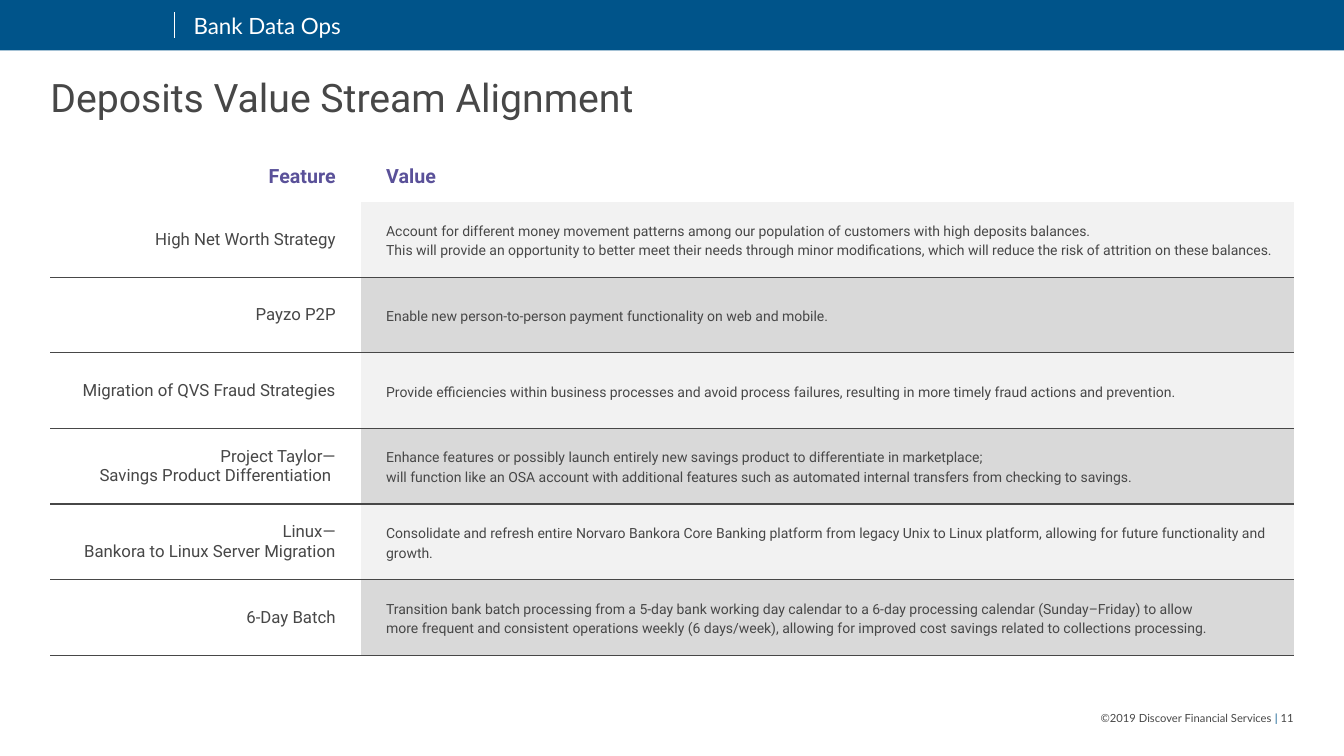
from dataclasses import dataclass

from lxml import etree
from pptx import Presentation
from pptx.dml.color import RGBColor
from pptx.enum.shapes import MSO_CONNECTOR, MSO_SHAPE
from pptx.enum.text import MSO_ANCHOR, PP_ALIGN
from pptx.oxml import parse_xml
from pptx.oxml.ns import nsdecls, qn
from pptx.util import Inches, Pt

RECTANGLE = MSO_SHAPE.RECTANGLE
STRAIGHT = MSO_CONNECTOR.STRAIGHT
TOP, MIDDLE = MSO_ANCHOR.TOP, MSO_ANCHOR.MIDDLE
LEFT, RIGHT = PP_ALIGN.LEFT, PP_ALIGN.RIGHT


@dataclass(frozen=True)
class Theme:
    heading_font: str = "Roboto"
    banner_font: str = "Lato"
    blue: str = "00548A"
    purple: str = "5A5199"
    text: str = "474747"
    white: str = "FFFFFF"
    light_band: str = "F2F2F2"
    dark_band: str = "D9D9D9"
    title_size: int = 28
    banner_size: int = 16
    header_size: int = 14
    feature_size: int = 12
    value_size: int = 10
    footer_size: int = 8


theme = Theme()


def add_run(paragraph, text, size, font_name, color, bold=False):
    """Add styled text, with a line break at each newline."""
    for index, line in enumerate(text.split("\n")):
        if index:
            paragraph.add_line_break()
        run = paragraph.add_run()
        run.text = line
        run.font.size = Pt(size)
        run.font.name = font_name
        run.font.bold = bold
        run.font.color.rgb = RGBColor.from_string(color)


def add_text_box(slide, left, top, width, height, anchor, align, inset=0):
    """Add an empty text box and return its first paragraph."""
    box = slide.shapes.add_textbox(Inches(left), Inches(top), Inches(width), Inches(height))
    frame = box.text_frame
    frame.word_wrap = True
    frame.vertical_anchor = anchor
    frame.margin_left = Inches(inset)
    frame.margin_top = frame.margin_right = frame.margin_bottom = 0
    paragraph = frame.paragraphs[0]
    paragraph.alignment = align
    return paragraph


presentation = Presentation()
presentation.slide_width = Inches(13.33)
presentation.slide_height = Inches(7.5)
slide = presentation.slides.add_slide(presentation.slide_layouts[6])

# Banner
banner = slide.shapes.add_shape(RECTANGLE, 0, 0, presentation.slide_width, Inches(0.5))
banner.shadow.inherit = False
banner.fill.solid()
banner.fill.fore_color.rgb = RGBColor.from_string(theme.blue)
banner.line.fill.background()

divider = slide.shapes.add_connector(
    STRAIGHT, Inches(1.73), Inches(0.12), Inches(1.73), Inches(0.38))
divider.line.color.rgb = RGBColor.from_string(theme.white)
divider.line.width = Pt(0.5)
etree.SubElement(divider.element.spPr, qn("a:effectLst"))

banner_text = add_text_box(slide, 1.74, 0.12, 11.1, 0.27, MIDDLE, LEFT, inset=0.18)
add_run(banner_text, "Bank Data Ops", theme.banner_size, theme.banner_font, theme.white)

# Title
title = add_text_box(slide, 0.5, 0.75, 12.33, 0.5, TOP, LEFT)
title.line_spacing = Pt(32)
add_run(title, "Deposits Value Stream Alignment", theme.title_size, theme.heading_font, theme.text)

# Table of features and their value
rows = [
    ("Feature", "Value"),
    ("High Net Worth Strategy",
     "Account for different money movement patterns among our population of customers "
     "with high deposits balances.\n"
     "This will provide an opportunity to better meet their needs through minor "
     "modifications, which will reduce the risk of attrition on these balances."),
    ("Payzo P2P",
     "Enable new person-to-person payment functionality on web and mobile."),
    ("Migration of QVS Fraud Strategies",
     "Provide efficiencies within business processes and avoid process failures, "
     "resulting in more timely fraud actions and prevention."),
    ("Project Taylor—\nSavings Product Differentiation ",
     "Enhance features or possibly launch entirely new savings product to differentiate "
     "in marketplace;\n"
     "will function like an OSA account with additional features such as automated "
     "internal transfers from checking to savings."),
    ("Linux—\nBankora to Linux Server Migration",
     "Consolidate and refresh entire Norvaro Bankora Core Banking platform from legacy "
     "Unix to Linux platform, allowing for future functionality and growth."),
    ("6-Day Batch",
     "Transition bank batch processing from a 5-day bank working day calendar to a 6-day "
     "processing calendar (Sunday–Friday) to allow\n"
     "more frequent and consistent operations weekly (6 days/week), allowing for improved "
     "cost savings related to collections processing."),
]
table = slide.shapes.add_table(
    len(rows), 2, Inches(0.5), Inches(1.5), Inches(12.33), Inches(5)).table
table.first_row = table.horz_banding = False
# The "No Style, No Grid" table style
table_style = table._tbl.tblPr.find(qn("a:tableStyleId"))
table_style.text = "{2D5ABB26-0587-4C30-8999-92F81FD0307C}"
table.columns[0].width = Inches(3.08)
table.columns[1].width = Inches(9.25)

for row_index, row_texts in enumerate(rows):
    is_header = row_index == 0
    table.rows[row_index].height = Inches(0.5 if is_header else 0.75)
    for column_index, text in enumerate(row_texts):
        is_value = column_index == 1
        cell = table.cell(row_index, column_index)
        cell.vertical_anchor = MIDDLE
        cell.margin_left = Inches(0.25 if is_value else 0.1)
        cell.margin_right = Inches(0.1 if is_value else 0.25)
        cell.margin_top = cell.margin_bottom = Inches(0.1)

        fill_color = theme.white
        if is_value and not is_header:
            fill_color = theme.light_band if row_index % 2 else theme.dark_band
        cell.fill.solid()
        cell.fill.fore_color.rgb = RGBColor.from_string(fill_color)

        paragraph = cell.text_frame.paragraphs[0]
        paragraph.alignment = LEFT if is_value else RIGHT
        if is_header:
            add_run(paragraph, text, theme.header_size, theme.heading_font, theme.purple, bold=True)
            continue
        if is_value:
            paragraph.line_spacing = Pt(14)
        size = theme.value_size if is_value else theme.feature_size
        add_run(paragraph, text, size, theme.heading_font, theme.text)

        borders = ["lnB"] if row_index == 1 else ["lnT", "lnB"]
        for position, border in enumerate(borders):
            cell._tc.get_or_add_tcPr().insert(position, parse_xml(
                f'<a:{border} {nsdecls("a")} w="{Pt(1)}"><a:solidFill>'
                f'<a:srgbClr val="{theme.text}"/></a:solidFill></a:{border}>'))

# Footer
footer = add_text_box(slide, 10.33, 7.06, 2.5, 0.13, MIDDLE, RIGHT)
for text, color in [("©2019 Discover Financial Services", theme.text),
                    (" | ", theme.blue), ("11", theme.text)]:
    add_run(footer, text, theme.footer_size, theme.banner_font, color)

presentation.save("out.pptx")
